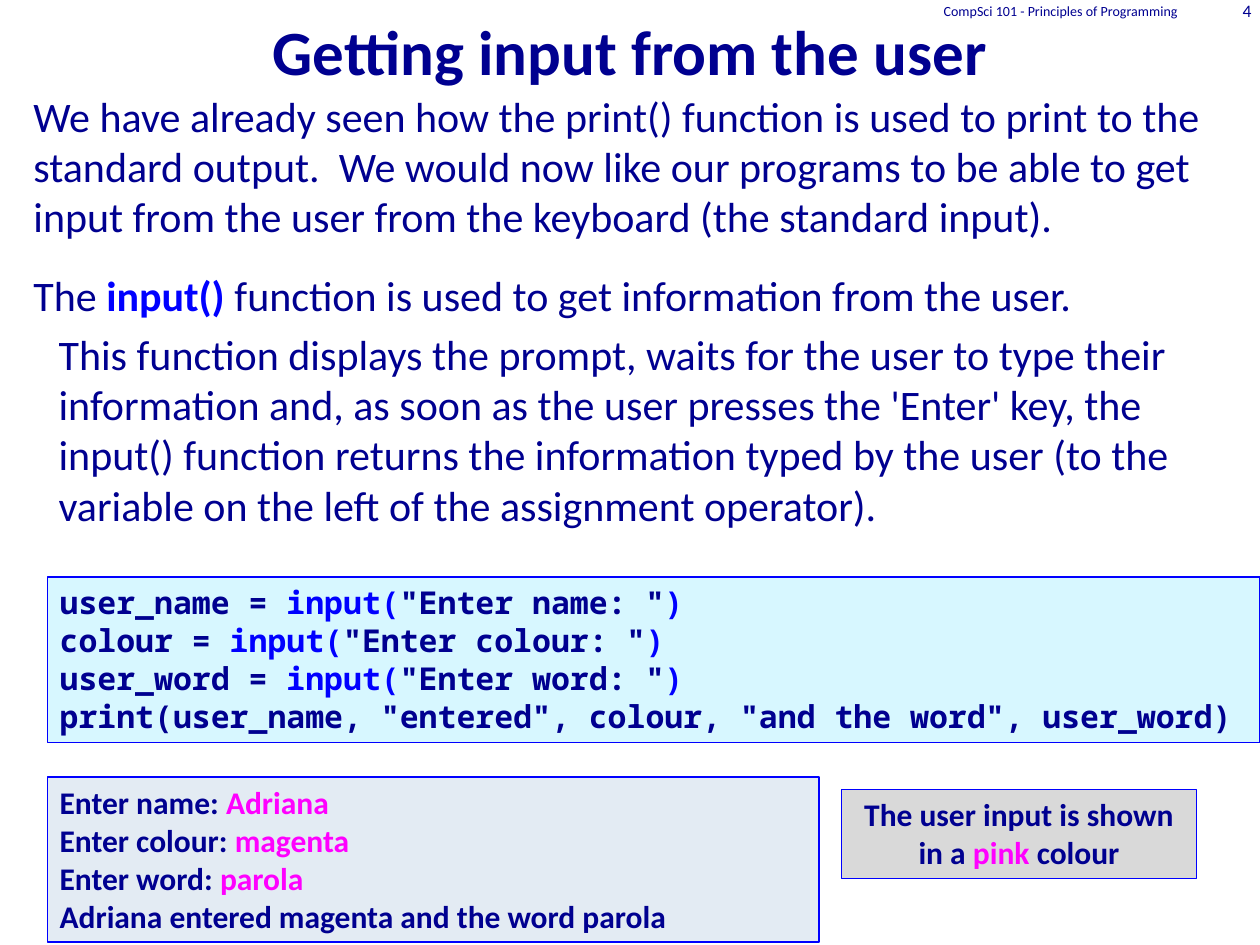
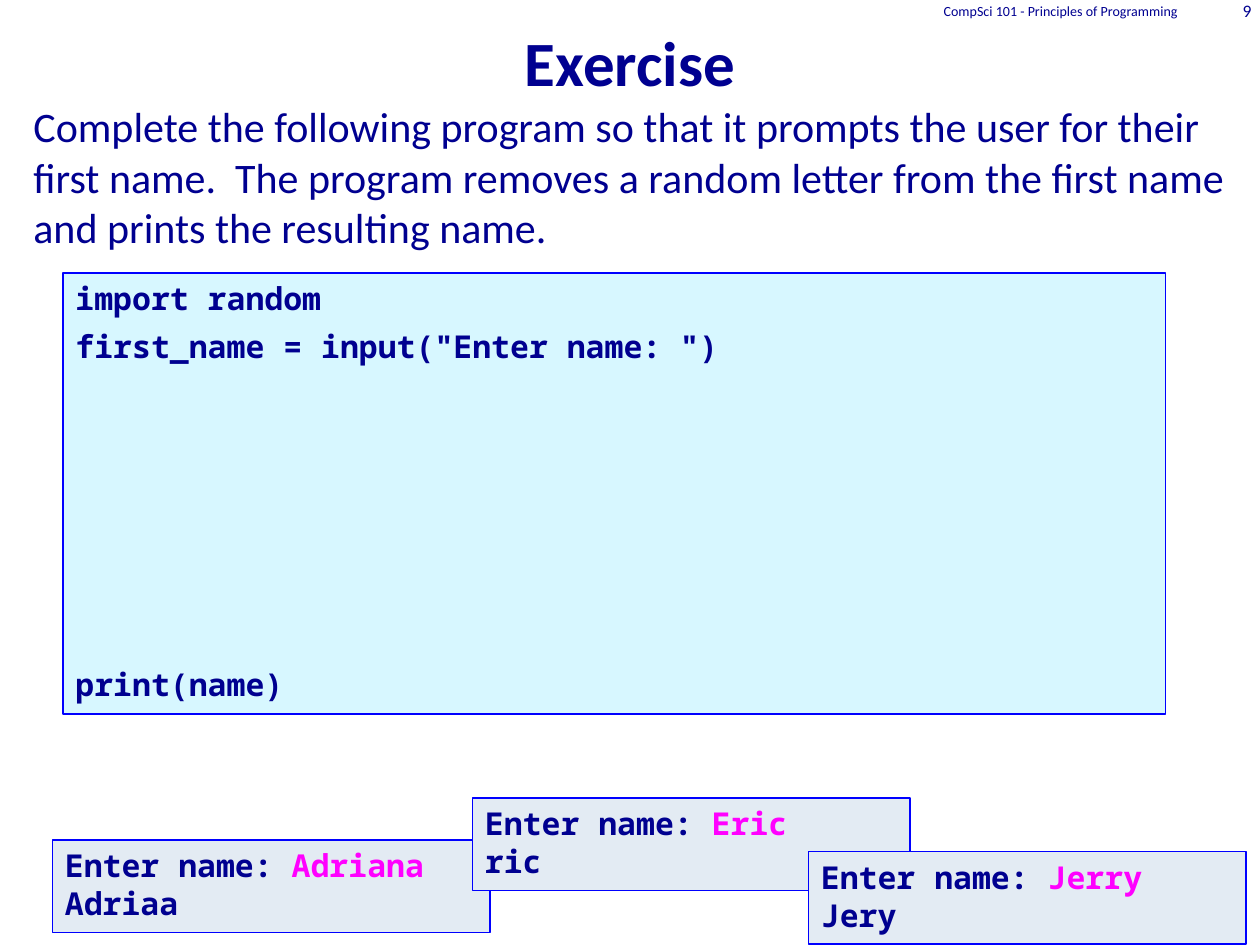
from dataclasses import dataclass
from pptx import Presentation
from pptx.dml.color import RGBColor as RGB
from pptx.enum.shapes import MSO_SHAPE as SHAPE
from pptx.enum.text import MSO_ANCHOR as ANCHOR, PP_ALIGN as ALIGN
from pptx.util import Pt


@dataclass(frozen=True)
class Theme:
    navy: RGB = RGB(0x00, 0x00, 0x90)
    blue: RGB = RGB(0x00, 0x00, 0xFF)
    pink: RGB = RGB(0xFF, 0x00, 0xFF)
    code_fill: RGB = RGB(0xD7, 0xF7, 0xFF)
    output_fill: RGB = RGB(0xE3, 0xEB, 0xF3)
    note_fill: RGB = RGB(0xD9, 0xD9, 0xD9)
    sans: str = "Calibri"
    mono: str = "Noto Sans Mono"
    title: int = 36
    body: int = 24
    box: int = 18
    number: int = 10
    footer: int = 8


T = Theme()
WIDTH, HEIGHT = 720, 540
COURSE = "CompSci 101 - Principles of Programming"


# Content: a line is a list of runs, a run is a text or (text, colour)
def pink(text):
    return (text, T.pink)


def input_line(variable, prompt):
    return [f"{variable} = ", ("input(", T.blue), f'"{prompt}: "', (")", T.blue)]


INTRO = [
    ["We have already seen how the print() function is used to print to the "
     "standard output.  We would now like our programs to be able to get input "
     "from the user from the keyboard (the standard input)."],
    ["The ", ("input() ", T.blue, True),
     "function is used to get information from the user."],
    ["This function displays the prompt, waits for the user to type their "
     "information and, as soon as the user presses the 'Enter' key, the input() "
     "function returns the information typed by the user (to the variable on the "
     "left of the assignment operator)."],
]
INPUT_CODE = [
    input_line("user_name", "Enter name"),
    input_line("colour", "Enter colour"),
    input_line("user_word", "Enter word"),
    ['print(user_name, "entered", colour, "and the word", user_word)'],
]
INPUT_OUTPUT = [
    ["Enter name: ", pink("Adriana")],
    ["Enter colour: ", pink("magenta")],
    ["Enter word: ", pink("parola")],
    ["Adriana entered magenta and the word parola"],
]
PINK_NOTE = [["The user input is shown in a ", pink("pink "), "colour"]]

TASK = [["Complete the following program so that it prompts the user for their "
         "first name.  The program removes a random letter from the first name "
         "and prints the resulting name."]]
TASK_CODE = [["import random"], ['first_name = input("Enter name: ")'], ["print(name)"]]
SAMPLES = [  # typed name, printed name, left, top
    ("Adriana", "Adriaa", 30, 480),
    ("Eric", "ric", 270, 456),
    ("Jerry", "Jery", 462, 486.7),
]


# Text and boxes
def write(tf, lines, size, font=T.sans, bold=False, align=ALIGN.LEFT,
          anchor=ANCHOR.TOP, gaps=(), indents=()):
    tf.word_wrap = True
    tf.vertical_anchor = anchor
    for i, line in enumerate(lines):
        p = tf.paragraphs[0] if i == 0 else tf.add_paragraph()
        p.alignment = align
        p.space_before = Pt(gaps[i] if gaps else 0)
        if indents:
            p._p.get_or_add_pPr().set("marL", str(Pt(indents[i])))
        p.font.name, p.font.size, p.font.bold = font, Pt(size), bold
        p.font.color.rgb = T.navy
        for run in line:
            text, *style = (run,) if isinstance(run, str) else run
            r = p.add_run()
            r.text = text
            if style:
                r.font.color.rgb = style[0]
            if len(style) > 1:
                r.font.bold = style[1]


def add_text(s, at, lines, size, **style):
    write(s.shapes.add_textbox(*map(Pt, at)).text_frame, lines, size, **style)


def add_box(s, at, fill, lines, **style):
    sp = s.shapes.add_shape(SHAPE.RECTANGLE, *map(Pt, at))
    sp.shadow.inherit = False
    sp.fill.solid()
    sp.fill.fore_color.rgb = fill
    sp.line.color.rgb = T.blue
    sp.line.width = Pt(0.75)
    write(sp.text_frame, lines, T.box, bold=True, **style)


def add_slide(prs, title, title_top, number):
    s = prs.slides.add_slide(prs.slide_layouts[5])
    sp = s.shapes.title
    sp.left, sp.top, sp.width, sp.height = map(Pt, (0, title_top, WIDTH, 54))
    write(sp.text_frame, [[title]], T.title, bold=True, align=ALIGN.CENTER,
          anchor=ANCHOR.BOTTOM)
    for left, width, text, size in ((464.4, 216, COURSE, T.footer),
                                    (680.4, 41.8, str(number), T.number)):
        add_text(s, (left, 0, width, 12), [[text]], size, align=ALIGN.RIGHT,
                 anchor=ANCHOR.MIDDLE)
    return s


# Slides
def input_slide(prs):
    s = add_slide(prs, "Getting input from the user", 0, 4)
    add_text(s, (12, 48, 708, 432), INTRO, T.body, gaps=(0, 16, 4.8), indents=(0, 0, 14.4))
    left, height = 27, 94.4
    add_box(s, (left, 329.8, WIDTH - left, height), T.code_fill, INPUT_CODE, font=T.mono)
    add_box(s, (left, 444, 441, height), T.output_fill, INPUT_OUTPUT)
    add_box(s, (480.8, 451, 203, 51), T.note_fill, PINK_NOTE, align=ALIGN.CENTER)


def exercise_slide(prs):
    s = add_slide(prs, "Exercise", 6, 9)
    add_text(s, (12, 54, 696, 426), TASK, T.body)
    # The wide gap leaves room for the answer
    add_box(s, (36, 156, 630, 252), T.code_fill, TASK_CODE, font=T.mono, gaps=(0, 6, 171.5))
    for typed, printed, left, top in SAMPLES:
        add_box(s, (left, top, 250, 52.8), T.output_fill,
                [["Enter name: ", pink(typed)], [printed]], font=T.mono)


def main():
    prs = Presentation()
    prs.slide_width, prs.slide_height = Pt(WIDTH), Pt(HEIGHT)
    input_slide(prs)
    exercise_slide(prs)
    prs.save("out.pptx")


if __name__ == "__main__":
    main()
